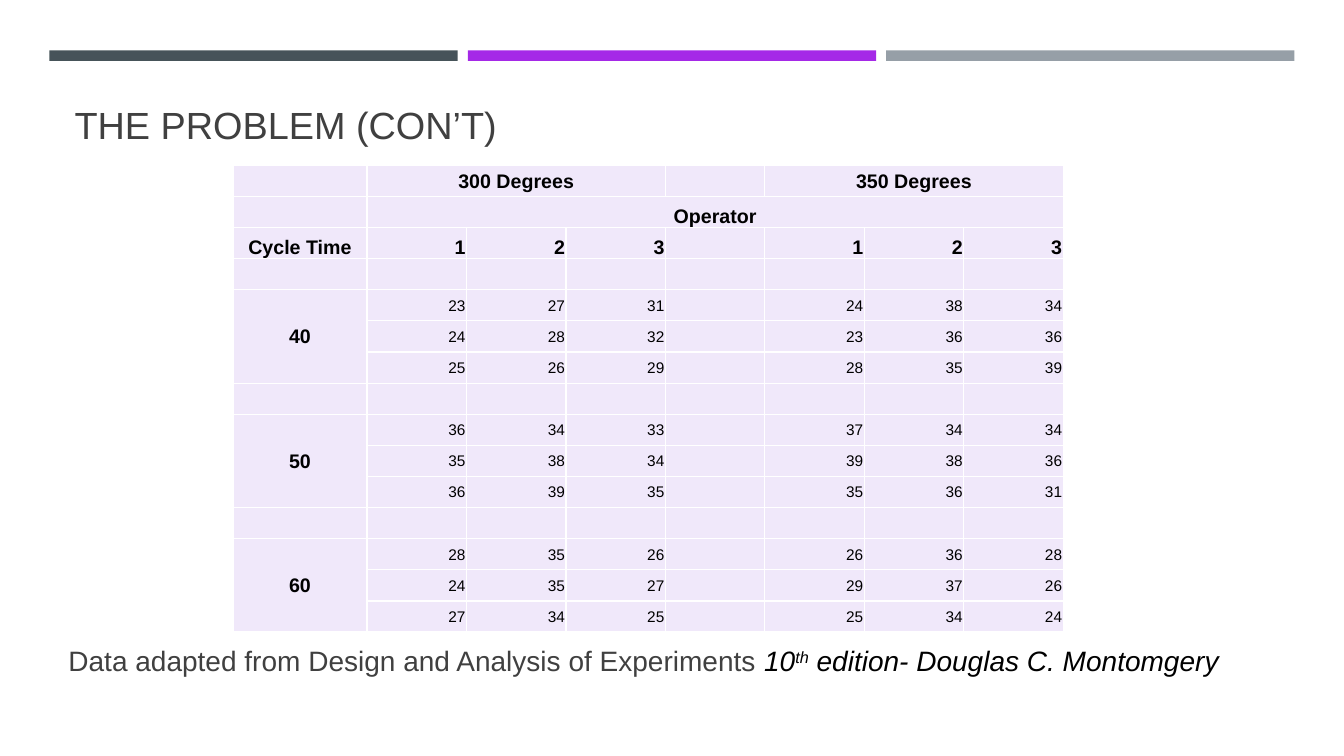
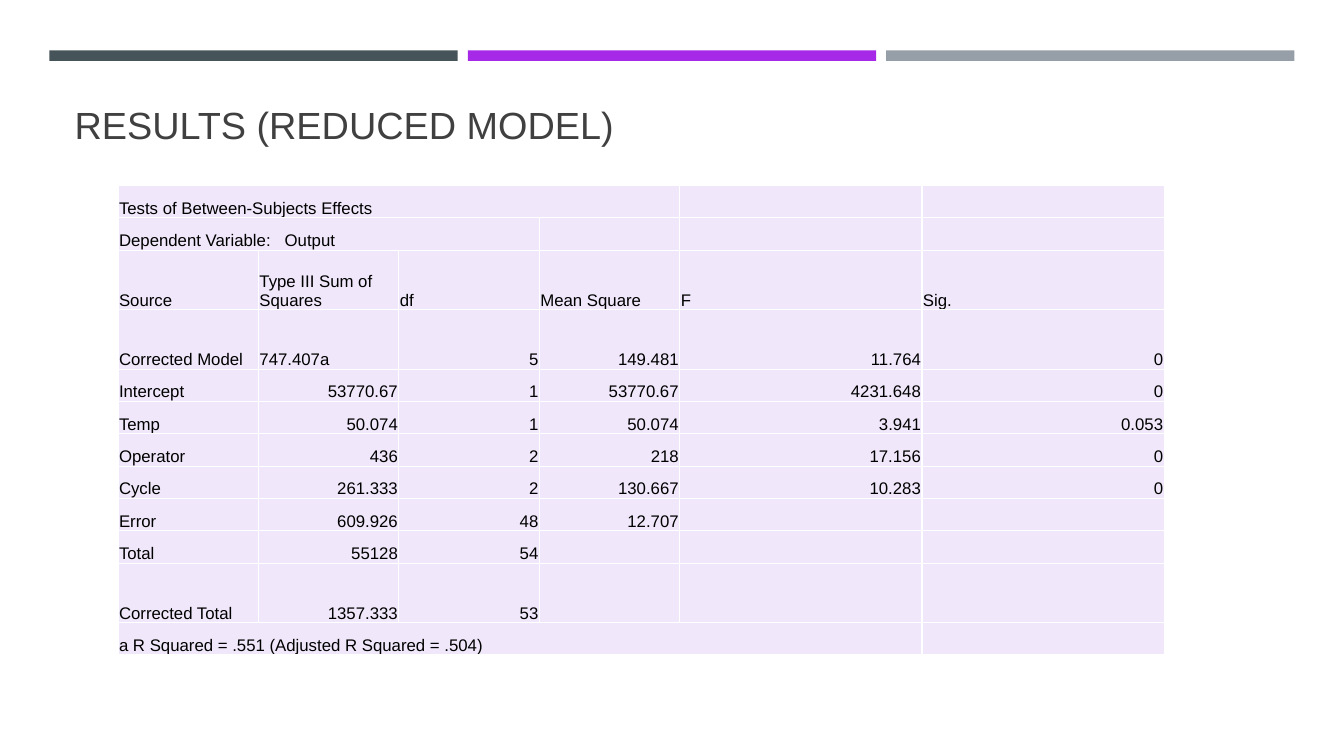
from lxml.etree import SubElement
from pptx import Presentation
from pptx.dml.color import RGBColor
from pptx.enum.shapes import MSO_SHAPE
from pptx.enum.text import MSO_ANCHOR, MSO_AUTO_SIZE, PP_ALIGN
from pptx.oxml.ns import qn
from pptx.util import Inches, Pt

RECT = MSO_SHAPE.RECTANGLE
MIDDLE, BOTTOM = MSO_ANCHOR.MIDDLE, MSO_ANCHOR.BOTTOM
LEFT, CENTER, RIGHT = PP_ALIGN.LEFT, PP_ALIGN.CENTER, PP_ALIGN.RIGHT
FIXED = MSO_AUTO_SIZE.NONE


class Deck:
    colors = {"slate": "465359", "violet": "A529E7", "gray": "969FA7",
              "text": "404040", "black": "000000", "cell": "F0E8FA",
              "rule": "FFFFFF"}
    font = "Arial"

    def __init__(self):
        self.prs = Presentation()
        self.prs.slide_width = Inches(13.33)
        self.prs.slide_height = Inches(7.5)
        self.slide = None

    def wide(self, share):
        return round(self.prs.slide_width * share / 100)

    def high(self, share):
        return round(self.prs.slide_height * share / 100)

    def box(self, left, top, width, height):
        return self.wide(left), self.high(top), self.wide(width), self.high(height)

    def tint(self, name):
        return RGBColor.from_string(self.colors[name])

    def style(self, run, size, color, bold=False, italic=False):
        font = run.font
        font.name, font.size = self.font, Pt(size)
        font.bold, font.italic = bold, italic
        font.color.rgb = self.tint(color)

    def page(self, title):
        self.slide = self.prs.slides.add_slide(self.prs.slide_layouts[5])
        for col, color in enumerate(("slate", "violet", "gray")):
            self.band(3.68 + col * 31.13, color)
        self.title(title)

    def band(self, left, color):
        shape = self.slide.shapes.add_shape(RECT, *self.box(left, 6.67, 30.38, 1.4))
        shape.shadow.inherit = False
        shape.fill.solid()
        shape.fill.fore_color.rgb = self.tint(color)
        shape.line.fill.background()

    def title(self, text):
        shape = self.slide.shapes.title
        shape.left, shape.top, shape.width, shape.height = self.box(4.8, 11.07, 90.45, 9.07)
        frame = shape.text_frame
        frame.text = text
        frame.auto_size, frame.vertical_anchor = FIXED, BOTTOM
        para = frame.paragraphs[0]
        para.alignment, para.line_spacing = LEFT, 0.9
        self.style(para.runs[0], 27, "text")

    def note(self, parts):
        shape = self.slide.shapes.add_textbox(*self.box(4.35, 82.4, 90.45, 9.07))
        frame = shape.text_frame
        frame.word_wrap, frame.vertical_anchor = True, MIDDLE
        para = frame.paragraphs[0]
        para.line_spacing = 1.2
        para.space_before, para.space_after = Pt(4), Pt(6)
        for text, color, italic, rise in parts:
            run = para.add_run()
            run.text = text
            self.style(run, 20, color, italic=italic)
            if rise:
                run.font._element.set("baseline", str(rise * 1000))

    def edge(self, cell):
        props = cell._tc.get_or_add_tcPr()
        for side in ("lnL", "lnR", "lnT", "lnB"):
            line = SubElement(props, qn("a:" + side), w=str(Pt(1)))
            fill = SubElement(line, qn("a:solidFill"))
            SubElement(fill, qn("a:srgbClr"), val=self.colors["rule"])

    def cell(self, cell, text, size, bold, align, anchor):
        self.edge(cell)
        cell.fill.solid()
        cell.fill.fore_color.rgb = self.tint("cell")
        cell.margin_left = cell.margin_right = cell.margin_top = Inches(0.01)
        cell.margin_bottom = 0
        cell.vertical_anchor = anchor
        cell.text_frame.text = text
        para = cell.text_frame.paragraphs[0]
        para.alignment = align
        for run in para.runs:
            self.style(run, size, "black", bold)
        if not text:
            SubElement(para._p, qn("a:endParaRPr"), sz=str(size * 100))

    def table(self, left, top, cols, rows, data, spans, look):
        place = self.box(left, top, sum(cols), sum(rows))
        table = self.slide.shapes.add_table(len(rows), len(cols), *place).table
        table.first_row = table.horz_banding = False
        for col, share in zip(table.columns, cols):
            col.width = self.wide(share)
        for row, share in zip(table.rows, rows):
            row.height = self.high(share)
        for r, texts in enumerate(data):
            for c, text in enumerate(texts):
                self.cell(table.cell(r, c), text, *look(r, c, text))
        for r, c, down, across in spans:
            table.cell(r, c).merge(table.cell(r + down - 1, c + across - 1))


def trial(r, c, text):
    bold = r < 3 or c == 0
    align = CENTER if r < 2 or c == 0 else RIGHT
    return 14 if bold and text else 11, bold, align, BOTTOM if r in (1, 2) else MIDDLE


def effect(r, c, text):
    number = text.replace(".", "").isdigit()
    return 12, False, RIGHT if number else LEFT, BOTTOM


def split(lines, count):
    rows = [line.split("|") for line in lines]
    return [row + [""] * (count - len(row)) for row in rows]


deck = Deck()

deck.page("THE PROBLEM (CON’T)")
trials = split([
    "|300 Degrees||||350 Degrees",
    "|Operator",
    "Cycle Time|1|2|3||1|2|3",
    "",
    "40|23|27|31||24|38|34",
    "|24|28|32||23|36|36",
    "|25|26|29||28|35|39",
    "",
    "50|36|34|33||37|34|34",
    "|35|38|34||39|38|36",
    "|36|39|35||35|36|31",
    "",
    "60|28|35|26||26|36|28",
    "|24|35|27||29|37|26",
    "|27|34|25||25|34|24",
], 8)
spans = [(0, 1, 1, 3), (0, 5, 1, 3), (1, 1, 1, 7)]
spans += [(row, 0, 3, 1) for row in (4, 8, 12)]
deck.table(17.33, 21.87, [9.98] + [7.4] * 7, [4.12] * 15, trials, spans, trial)
deck.note([
    ("Data adapted from Design and Analysis of Experiments ", "text", False, 0),
    ("10", "black", True, 0),
    ("th", "black", True, 30),
    (" edition- Douglas C. Montomgery", "black", True, 0),
])

deck.page("RESULTS (REDUCED MODEL)")
effects = split([
    "Tests of Between-Subjects Effects",
    "Dependent Variable:   Output ",
    "Source|Type III Sum of Squares|df|Mean Square|F|Sig.",
    "Corrected Model|747.407a|5|149.481|11.764|0",
    "Intercept|53770.67|1|53770.67|4231.648|0",
    "Temp|50.074|1|50.074|3.941|0.053",
    "Operator|436|2|218|17.156|0",
    "Cycle|261.333|2|130.667|10.283|0",
    "Error|609.926|48|12.707",
    "Total|55128|54",
    "Corrected Total|1357.333|53",
    "a R Squared = .551 (Adjusted R Squared = .504)",
], 6)
rows = [7.87 if row in (2, 3, 10) else 4.28 for row in range(12)]
spans = [(0, 0, 1, 4), (1, 0, 1, 3), (11, 0, 1, 5)]
deck.table(8.78, 24.53, [10.45] * 4 + [18.02] * 2, rows, effects, spans, effect)

deck.prs.save("out.pptx")
